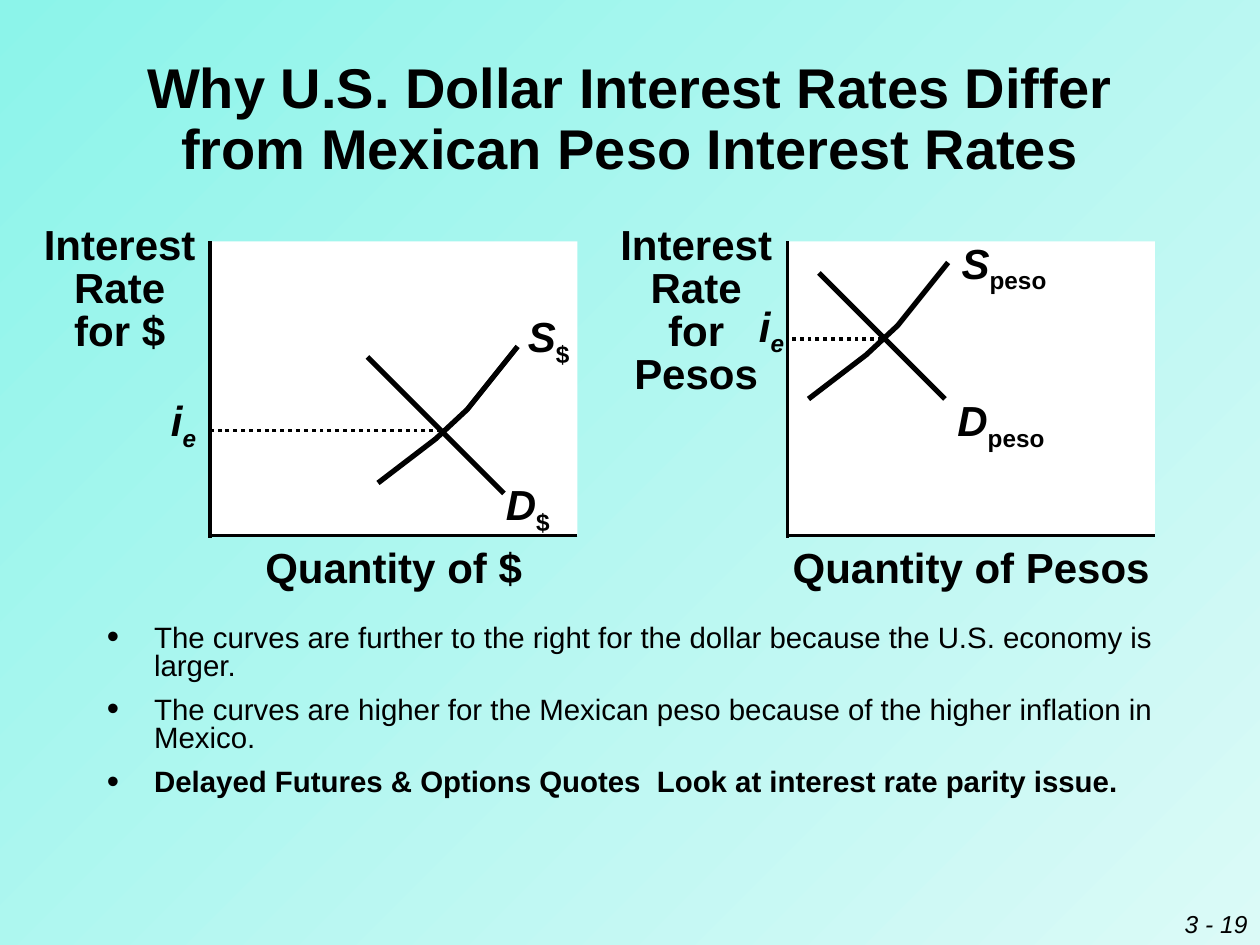
from lxml.etree import SubElement
from pptx import Presentation
from pptx.dml.color import RGBColor
from pptx.enum.dml import MSO_LINE
from pptx.enum.shapes import MSO_CONNECTOR, MSO_SHAPE
from pptx.enum.text import MSO_ANCHOR, PP_ALIGN
from pptx.oxml.ns import qn
from pptx.util import Pt

SCALE = 7620
BLACK = RGBColor(0x00, 0x00, 0x00)
WHITE = RGBColor(0xFF, 0xFF, 0xFF)
PALE_AQUA = RGBColor(0xDB, 0xFA, 0xF7)
AQUA = RGBColor(0x8C, 0xF4, 0xEA)

BOLD = {"size": Pt(24), "bold": True}
SYMBOL = {**BOLD, "italic": True}
BULLET = {"size": Pt(16.8), "bold": False}
CENTERED = {"alignment": PP_ALIGN.CENTER}
STACKED = {**CENTERED, "line_spacing": 0.85}

DOLLAR = {
    "quantity": ("Quantity of $", 0, 350),
    "rate": (["Interest", "Rate", "for $"], -176, 180),
    "curve": (160, 100),
    "supply": ("$", 131, -40, 70),
    "demand_line": (-10, 10, 120, 140),
    "demand": ("$", 110, 120, 100),
    "equilibrium": (220, 180),
    "symbol": (-49, 140),
}
PESO = {
    "quantity": ("Quantity of Pesos", -10, 370),
    "rate": (["Interest", "Rate", "for Pesos"], -180, 186),
    "curve": (20, 20),
    "supply": ("peso", 134, -30, 120),
    "demand_line": (10, 10, 130, 130),
    "demand": ("peso", 130, 120, 160),
    "equilibrium": (90, 93),
    "symbol": (-39, 50),
}
BULLETS = [
    ("The curves are further to the right for the dollar because the U.S. economy is larger.", False),
    ("The curves are higher for the Mexican peso because of the higher inflation in Mexico.", False),
    ("Delayed Futures & Options Quotes  Look at interest rate parity issue.", True),
]


def px(length):
    """Turn whole px into EMU."""
    return round(length * SCALE)


def apply_format(target, values):
    """Set each attribute named in a dict of format values."""
    for name, value in values.items():
        setattr(target, name, value)


def add_span(para, text, font):
    """Add one run of black Arial text."""
    span = para.add_run()
    span.text = text
    apply_format(span.font, {"name": "Arial", **font})
    span.font.color.rgb = BLACK
    return span


def add_box(page, box, **frame_format):
    """Add an empty wrapping text box and return its frame."""
    frame = page.shapes.add_textbox(*map(px, box)).text_frame
    apply_format(frame, {"word_wrap": True, **frame_format})
    return frame


def add_text(page, box, lines, font, layout, **frame_format):
    """Add a text box with one paragraph for each line."""
    frame = add_box(page, box, **frame_format)
    for index, line in enumerate(lines):
        para = frame.add_paragraph() if index else frame.paragraphs[0]
        apply_format(para, layout)
        add_span(para, line, font)


def add_symbol(page, box, letter, subscript, italic=False):
    """Add an italic letter followed by a subscript."""
    para = add_box(page, box).paragraphs[0]
    add_span(para, letter, SYMBOL)
    span = add_span(para, subscript, {**BOLD, "italic": italic})
    span._r.get_or_add_rPr().set("baseline", "-25000")


def add_line(page, ends, width, dash=None):
    """Add a straight black line without a shadow."""
    line = page.shapes.add_connector(MSO_CONNECTOR.STRAIGHT, *map(px, ends))
    line.line.color.rgb = BLACK
    apply_format(line.line, {"width": Pt(width), "dash_style": dash})
    SubElement(line._element.spPr, qn("a:effectLst"))


def add_axes(page, box, market):
    """Draw the white plot area with its axes and axis labels."""
    left, top, width, height = box
    plot = page.shapes.add_shape(MSO_SHAPE.RECTANGLE, *map(px, box))
    plot.shadow.inherit = False
    plot.fill.solid()
    plot.fill.fore_color.rgb = WHITE
    plot.line.fill.background()
    bottom = top + height
    quantity, shift, label_width = market["quantity"]
    add_text(page, (left + shift, bottom, label_width, 60), [quantity], BOLD, CENTERED)
    rate, shift, label_width = market["rate"]
    add_text(page, (left + shift, top - 20, label_width, 134), rate, BOLD, STACKED)
    add_line(page, (left, top, left, bottom + 2), 2)
    add_line(page, (left + width, bottom, left, bottom), 2)


def add_curves(page, left, top, market):
    """Draw the supply and demand curves with their symbols."""
    points = [(px(left + x), px(top + y)) for x, y in [(0, 130), (55, 88), (85, 60), (133, 0)]]
    builder = page.shapes.build_freeform(*points[0])
    builder.add_line_segments(points[1:], close=False)
    supply = builder.convert_to_shape()
    supply.shadow.inherit = False
    supply.fill.background()
    supply.line.color.rgb = BLACK
    supply.line.width = Pt(3)
    x1, y1, x2, y2 = market["demand_line"]
    add_line(page, (left + x1, top + y1, left + x2, top + y2), 3)
    for letter, name in (("S", "supply"), ("D", "demand")):
        subscript, x, y, width = market[name]
        add_symbol(page, (left + x, top + y, width, 66), letter, subscript)


def add_market(page, box, market):
    """Draw one supply and demand diagram in its plot box."""
    left, top = box[:2]
    add_axes(page, box, market)
    x, y = market["curve"]
    add_curves(page, left + x, top + y, market)
    x, y = market["equilibrium"]
    add_line(page, (left + x, top + y, left, top + y), 2.25, MSO_LINE.ROUND_DOT)
    x, y = market["symbol"]
    add_symbol(page, (left + x, top + y, 54, 66), "i", "e", italic=True)


def add_bullets(page, box):
    """Write the bulleted remarks."""
    frame = add_box(page, box)
    for index, (text, bold) in enumerate(BULLETS):
        para = frame.add_paragraph() if index else frame.paragraphs[0]
        apply_format(para, {"line_spacing": 0.8, "space_before": Pt(9)})
        properties = para._p.get_or_add_pPr()
        properties.set("marL", str(px(45)))
        properties.set("indent", str(px(-45)))
        color = SubElement(properties, qn("a:buClr"))
        SubElement(color, qn("a:srgbClr"), val=str(BLACK))
        SubElement(properties, qn("a:buSzPct"), val="119000")
        SubElement(properties, qn("a:buFont"), typeface="Arial")
        SubElement(properties, qn("a:buChar"), char="•")
        add_span(para, text, {**BULLET, "bold": bold})


def add_background(page):
    """Fill the page with the diagonal aqua gradient."""
    fill = page.background.fill
    fill.gradient()
    fill.gradient_angle = 135
    for stop, color in zip(fill.gradient_stops, (PALE_AQUA, AQUA)):
        stop.color.rgb = color


def main():
    """Build and save the deck."""
    deck = Presentation()
    apply_format(deck, {"slide_width": px(1200), "slide_height": px(900)})
    page = deck.slides.add_slide(deck.slide_layouts[6])
    add_background(page)
    add_text(page, (1070, 860, 130, 40), ["3 - 19"], {"size": Pt(14), "italic": True},
             {"alignment": PP_ALIGN.RIGHT})
    add_text(page, (90, 40, 1020, 150),
             ["Why U.S. Dollar Interest Rates Differ from Mexican Peso Interest Rates"],
             {"size": Pt(32), "bold": True}, {**CENTERED, "line_spacing": 0.9},
             vertical_anchor=MSO_ANCHOR.MIDDLE)
    for left, market in ((200, DOLLAR), (750, PESO)):
        add_market(page, (left, 230, 350, 280), market)
    add_bullets(page, (90, 590, 1020, 210))
    deck.save("out.pptx")


if __name__ == "__main__":
    main()
